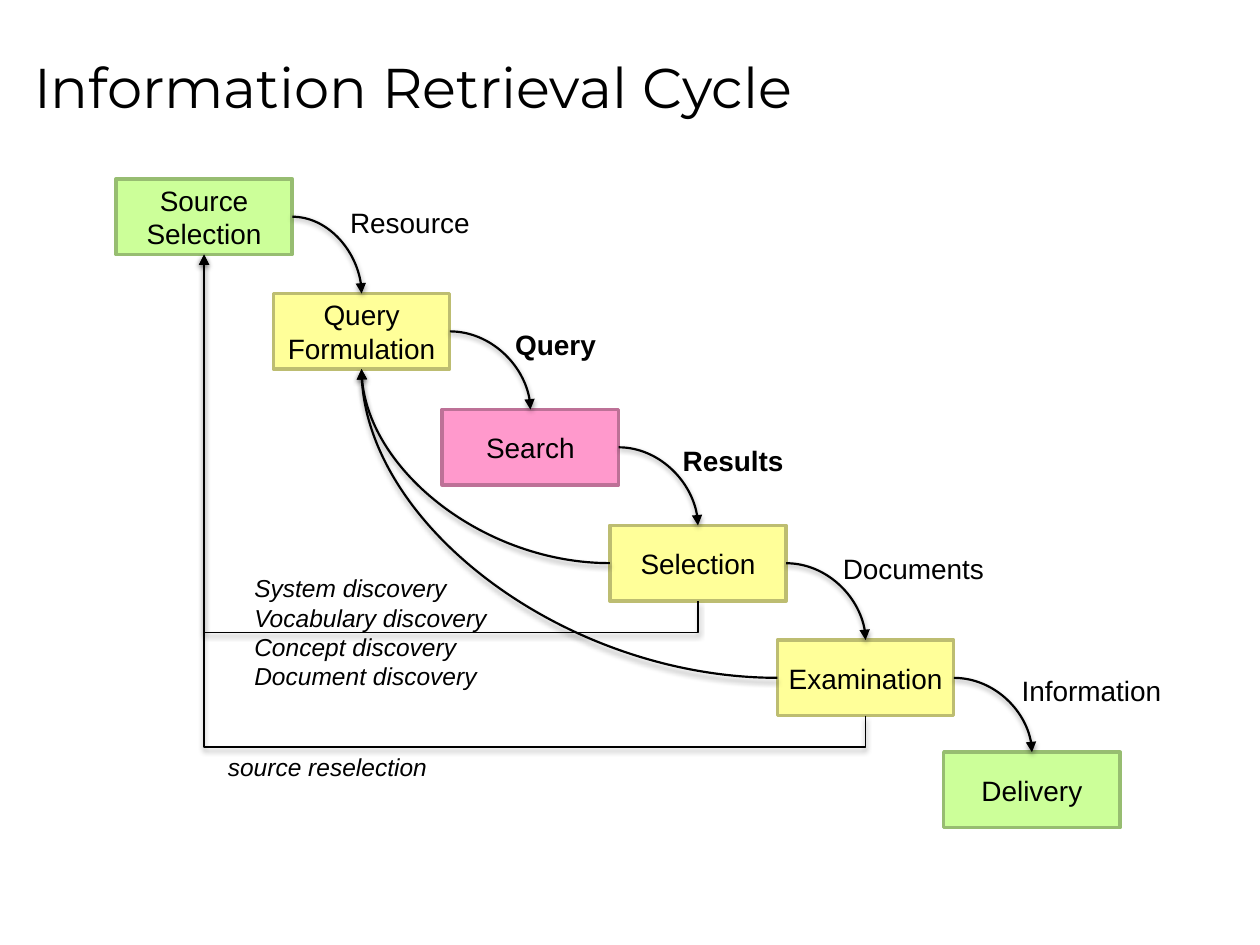
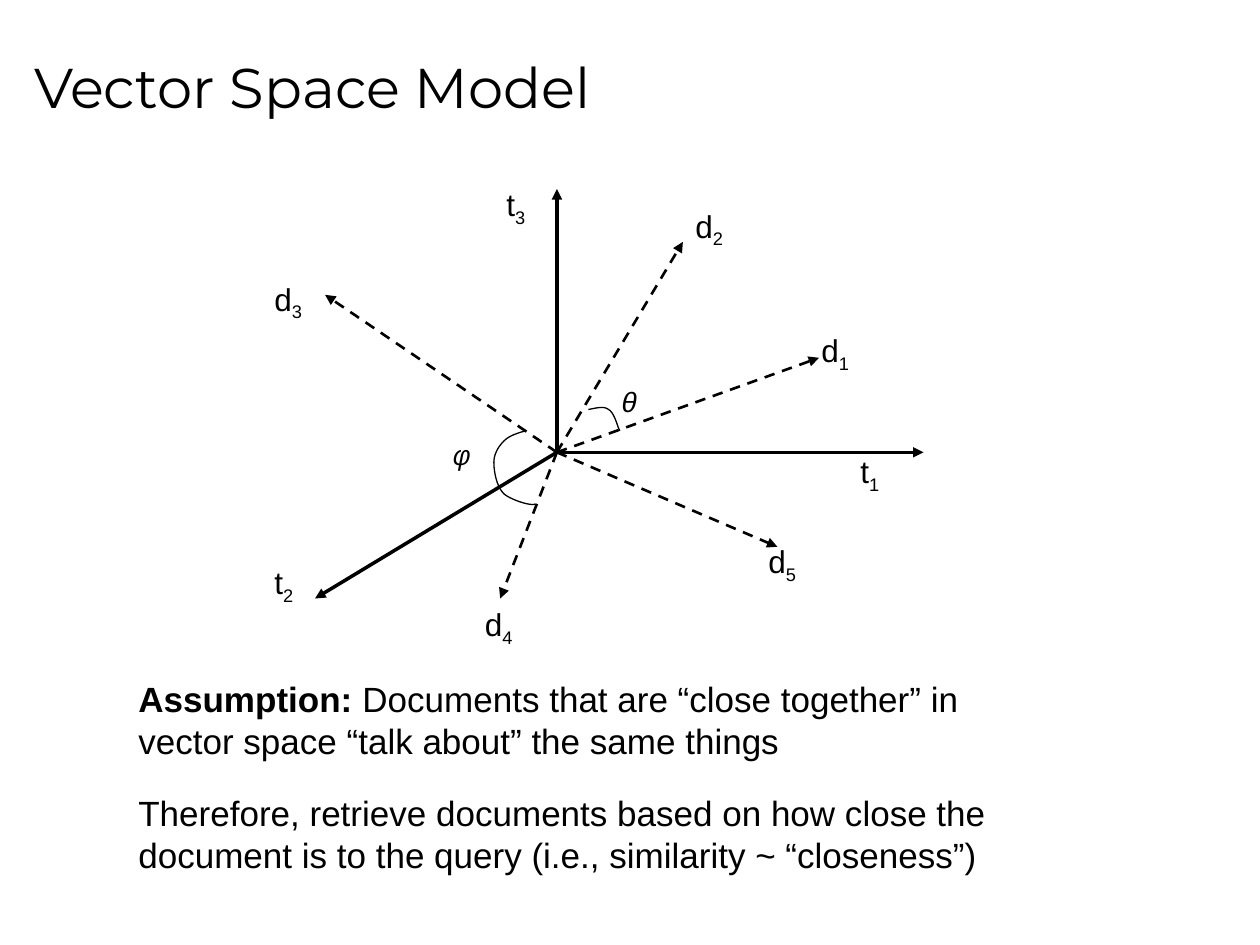
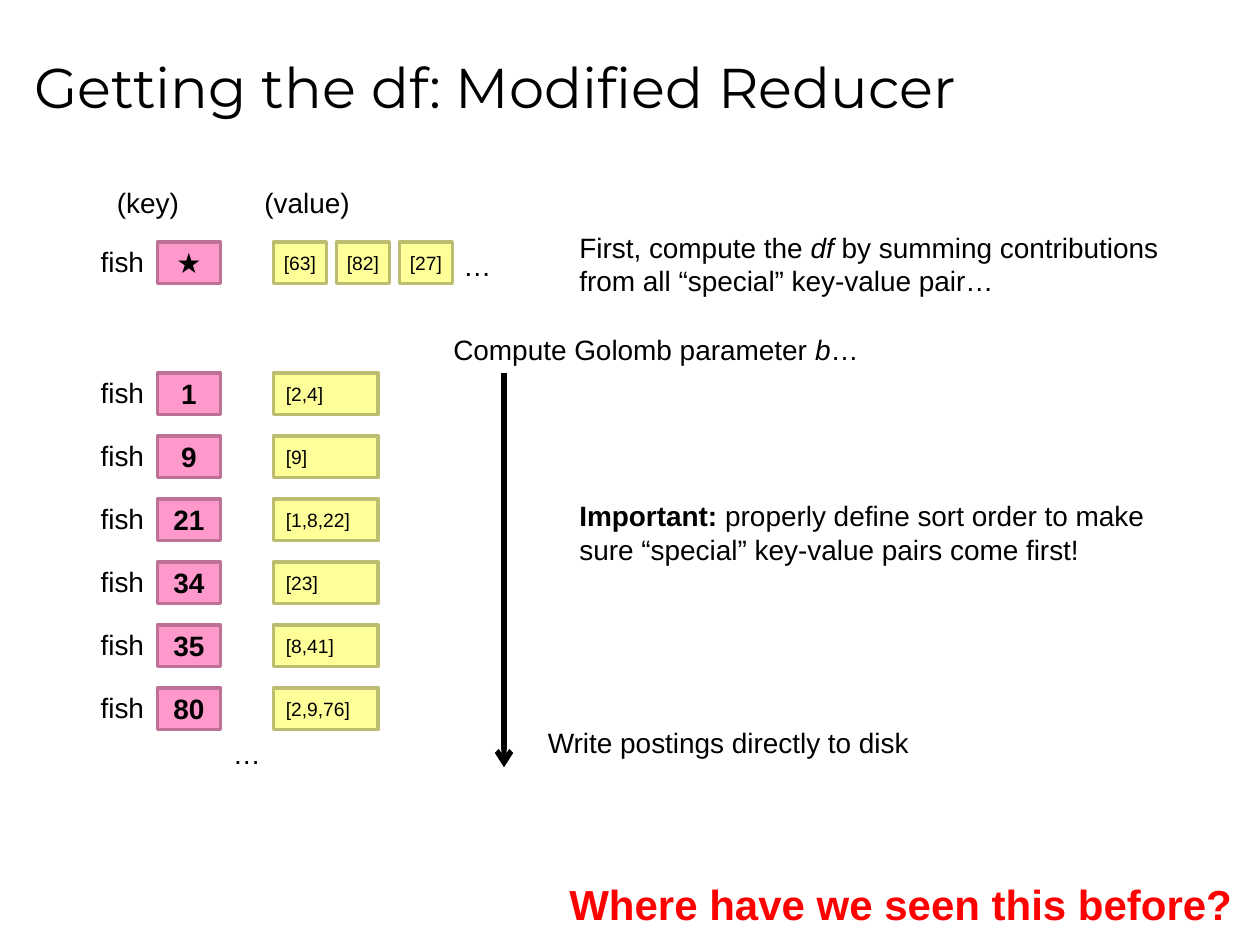
from dataclasses import dataclass, replace

from lxml import etree
from pptx import Presentation
from pptx.dml.color import RGBColor
from pptx.enum.dml import MSO_LINE
from pptx.enum.shapes import MSO_CONNECTOR, MSO_SHAPE
from pptx.enum.text import MSO_ANCHOR, MSO_AUTO_SIZE, PP_ALIGN
from pptx.oxml.ns import qn
from pptx.util import Inches, Pt

RECTANGLE = MSO_SHAPE.RECTANGLE
STRAIGHT, ELBOW, CURVE = MSO_CONNECTOR.STRAIGHT, MSO_CONNECTOR.ELBOW, MSO_CONNECTOR.CURVE
DASH = MSO_LINE.DASH
LEFT, CENTER = PP_ALIGN.LEFT, PP_ALIGN.CENTER
MIDDLE = MSO_ANCHOR.MIDDLE
FIT_SHAPE, NO_FIT = MSO_AUTO_SIZE.SHAPE_TO_FIT_TEXT, MSO_AUTO_SIZE.NONE
TOP_SIDE, LEFT_SIDE, BOTTOM_SIDE, RIGHT_SIDE = range(4)
TITLE_ONLY = 5

BLACK, RED = "000000", "FF0000"
GREEN = ("CCFF99", "97BD71")
YELLOW = ("FFFF99", "BDBD71")
PINK = ("FF99CC", "BD7197")


@dataclass(frozen=True)
class Style:
    size: float = 16
    font: str = "Arial"
    color: str = BLACK
    bold: bool = False
    italic: bool = False


@dataclass(frozen=True)
class Run:
    text: str
    bold: bool = False
    italic: bool = False
    subscript: bool = False


@dataclass(frozen=True)
class Label:
    """A text box; content is plain text or a list of runs."""
    content: str | list[Run]
    left: float
    top: float
    width: float
    height: float = 0.37
    style: Style = Style()
    wrap: bool = False


@dataclass(frozen=True)
class Box:
    text: str
    left: float
    top: float
    width: float
    height: float
    colors: tuple[str, str]
    style: Style = Style()
    align: PP_ALIGN = CENTER
    wrap: bool = True
    side_margin: float = 0.1


BODY = Style()
BOLD = Style(bold=True)
NOTE = Style(14, italic=True)
SMALL = Style(11)
TERM = Style(18)
ANGLE = Style(16, "Courier New", italic=True)
STATEMENT = Style(20)
TITLE = Style(32, "Montserrat")


def rgb(color: str) -> RGBColor:
    return RGBColor.from_string(color)


def format_run(run, style: Style) -> None:
    font = run.font
    font.size, font.name = Pt(style.size), style.font
    font.bold, font.italic = style.bold, style.italic
    font.color.rgb = rgb(style.color)


def write_text(text_frame, content: str | list[Run], style: Style, align=LEFT) -> None:
    if isinstance(content, str):
        text_frame.text = content
        for paragraph in text_frame.paragraphs:
            for run in paragraph.runs:
                format_run(run, style)
    else:
        for part in content:
            run = text_frame.paragraphs[0].add_run()
            run.text = part.text
            format_run(run, replace(style, bold=part.bold, italic=part.italic))
            if part.subscript:
                run.font._element.set("baseline", "-25000")
    for paragraph in text_frame.paragraphs:
        paragraph.alignment = align


def place(left: float, top: float, width: float, height: float) -> list[int]:
    return [Inches(value) for value in (left, top, width, height)]


def add_titled_slide(presentation, text: str):
    slide = presentation.slides.add_slide(presentation.slide_layouts[TITLE_ONLY])
    title = slide.shapes.title
    title.left, title.top, title.width, title.height = place(0.17, 0.12, 9.5, 1.12)
    write_text(title.text_frame, text, TITLE)
    title.text_frame.vertical_anchor = MIDDLE
    title.text_frame.auto_size = NO_FIT
    return slide


def add_label(slide, label: Label) -> None:
    shape = slide.shapes.add_textbox(*place(label.left, label.top, label.width, label.height))
    write_text(shape.text_frame, label.content, label.style)
    shape.text_frame.word_wrap = label.wrap
    shape.text_frame.auto_size = FIT_SHAPE


def add_box(slide, box: Box):
    shape = slide.shapes.add_shape(RECTANGLE, *place(box.left, box.top, box.width, box.height))
    fill, border = box.colors
    shape.shadow.inherit = False
    shape.fill.solid()
    shape.fill.fore_color.rgb = rgb(fill)
    shape.line.color.rgb = rgb(border)
    shape.line.width = Pt(2)
    text_frame = shape.text_frame
    write_text(text_frame, box.text, box.style, box.align)
    text_frame.word_wrap = box.wrap
    text_frame.vertical_anchor = MIDDLE
    text_frame.margin_left = text_frame.margin_right = Inches(box.side_margin)
    return shape


def style_arrow(connector, width: float, head: str = "triangle", shadow: bool = False) -> None:
    connector.line.color.rgb = rgb(BLACK)
    connector.line.width = Pt(width)
    properties = connector.element.spPr
    etree.SubElement(properties.find(qn("a:ln")), qn("a:tailEnd"), type=head)
    effects = etree.SubElement(properties, qn("a:effectLst"))
    if shadow:
        outer = etree.SubElement(effects, qn("a:outerShdw"), blurRad=str(Pt(3.1)),
                                 dist=str(Pt(1.6)), dir="5400000", rotWithShape="0")
        color = etree.SubElement(outer, qn("a:srgbClr"), val=BLACK)
        etree.SubElement(color, qn("a:alpha"), val="38000")


def add_arrow(slide, start: tuple[float, float], end: tuple[float, float], width: float,
              head: str = "triangle", dashed: bool = False) -> None:
    points = [Inches(value) for value in (*start, *end)]
    connector = slide.shapes.add_connector(STRAIGHT, *points)
    if dashed:
        connector.line.dash_style = DASH
    style_arrow(connector, width, head)


def join(slide, kind, source, source_side: int, target, target_side: int):
    connector = slide.shapes.add_connector(kind, 0, 0, 0, 0)
    connector.begin_connect(source, source_side)
    connector.end_connect(target, target_side)
    return connector


def add_curve(slide, source, source_side: int, target, target_side: int) -> None:
    """Join two boxes by a quarter curve."""
    joined = join(slide, CURVE, source, source_side, target, target_side)
    joined.element.spPr.find(qn("a:prstGeom")).set("prst", "curvedConnector2")
    style_arrow(joined, 1.25, shadow=True)


def add_return_path(slide, source, target) -> None:
    """Run below the source, left, and up to the bottom of the target."""
    connector = join(slide, ELBOW, source, BOTTOM_SIDE, target, BOTTOM_SIDE)
    start_x, start_y = connector.begin_x, connector.begin_y
    end_x, end_y = connector.end_x, connector.end_y
    rise, run = start_y - end_y, start_x - end_x
    transform = connector.element.spPr.find(qn("a:xfrm"))
    transform.attrib.pop("flipV", None)
    transform.set("rot", "5400000")
    transform.set("flipH", "1")
    connector.left = (start_x + end_x - rise) // 2
    connector.top = (start_y + end_y - run) // 2
    connector.width, connector.height = rise, run
    geometry = connector.element.spPr.find(qn("a:prstGeom"))
    adjustments = geometry.find(qn("a:avLst"))
    if adjustments is None:
        adjustments = etree.SubElement(geometry, qn("a:avLst"))
    drop = round(-100000 * Inches(0.25) / rise)
    etree.SubElement(adjustments, qn("a:gd"), name="adj1", fmla=f"val {drop}")
    style_arrow(connector, 1, shadow=True)


def add_arc(slide, points: list[tuple[float, float]], steps: int = 10) -> None:
    """Draw chained cubic curves: a start, then two controls and an end for each."""
    vertices = []
    for first in range(0, len(points) - 1, 3):
        section = points[first:first + 4]
        for step in range(1, steps + 1):
            t = step / steps
            weights = ((1 - t) ** 3, 3 * t * (1 - t) ** 2, 3 * t * t * (1 - t), t ** 3)
            vertices.append(tuple(
                Inches(sum(weight * point[axis] for weight, point in zip(weights, section)))
                for axis in (0, 1)))
    builder = slide.shapes.build_freeform(Inches(points[0][0]), Inches(points[0][1]))
    builder.add_line_segments(vertices, close=False)
    arc = builder.convert_to_shape()
    arc.shadow.inherit = False
    arc.fill.background()
    arc.line.color.rgb = rgb(BLACK)
    arc.line.width = Pt(0.75)


def build_retrieval_cycle(presentation) -> None:
    slide = add_titled_slide(presentation, "Information Retrieval Cycle")
    stages = [
        ("Source\nSelection", 0.92, 1.42, GREEN),
        ("Query\nFormulation", 2.17, 2.33, YELLOW),
        ("Search", 3.51, 3.25, PINK),
        ("Selection", 4.84, 4.17, YELLOW),
        ("Examination", 6.17, 5.08, YELLOW),
        ("Delivery", 7.49, 5.97, GREEN),
    ]
    boxes = [add_box(slide, Box(text, left, top, 1.4, 0.6, colors, wrap=False))
             for text, left, top, colors in stages]
    for source, target in zip(boxes, boxes[1:]):
        add_curve(slide, source, RIGHT_SIDE, target, TOP_SIDE)

    source_selection, formulation, _, selection, examination, _ = boxes
    for stage in (examination, selection):
        add_return_path(slide, stage, source_selection)
        add_curve(slide, stage, LEFT_SIDE, formulation, BOTTOM_SIDE)

    discoveries = "\n".join(f"{item} discovery"
                            for item in ("System", "Vocabulary", "Concept", "Document"))
    for label in (
        Label("Resource", 2.68, 1.58, 1.15),
        Label("Query", 3.99, 2.55, 0.85, style=BOLD, wrap=True),
        Label("Results", 5.32, 3.47, 1.01, style=BOLD),
        Label("Documents", 6.59, 4.33, 1.32),
        Label("Information", 8.01, 5.3, 1.33),
        Label("source reselection", 1.71, 5.92, 2.3, 0.33, NOTE, wrap=True),
        Label(discoveries, 1.92, 4.5, 2.06, 1.04, NOTE),
    ):
        add_label(slide, label)


def build_vector_space(presentation) -> None:
    slide = add_titled_slide(presentation, "Vector Space Model")
    origin = (4.42, 3.59)
    for axis_end in ((7.33, 3.59), (4.42, 1.5), (2.5, 4.75)):
        add_arrow(slide, origin, axis_end, 2)
    for document_end in ((6.5, 2.84), (6.17, 4.34), (5.42, 1.92), (3.97, 4.75), (2.58, 2.34)):
        add_arrow(slide, origin, document_end, 1.5, dashed=True)

    for letter, index, left, top in (
        ("t", 1, 6.73, 3.54), ("t", 2, 2.08, 4.42), ("t", 3, 3.92, 1.42),
        ("d", 1, 6.42, 2.58), ("d", 2, 5.42, 1.59), ("d", 3, 2.08, 2.17),
        ("d", 4, 3.75, 4.75), ("d", 5, 6, 4.25),
    ):
        width = 0.36 if letter == "t" else 0.43
        runs = [Run(letter), Run(str(index), subscript=True)]
        add_label(slide, Label(runs, left, top, width, 0.4, TERM))

    add_arc(slide, [(4.67, 3.25), (4.73, 3.24), (4.79, 3.22), (4.83, 3.25),
                    (4.88, 3.28), (4.9, 3.39), (4.92, 3.42)])
    add_arc(slide, [(4.17, 3.42), (4.1, 3.44), (4.04, 3.46), (4, 3.5),
                    (3.96, 3.54), (3.92, 3.6), (3.92, 3.67),
                    (3.92, 3.74), (3.94, 3.86), (4, 3.92),
                    (4.06, 3.97), (4.22, 4.02), (4.25, 4)])
    add_label(slide, Label("θ", 4.83, 3, 0.3, style=ANGLE, wrap=True))
    add_label(slide, Label("φ", 3.5, 3.42, 0.3, style=ANGLE, wrap=True))

    assumption = [
        Run("Assumption: ", bold=True),
        Run("Documents that are “close together” in vector space “talk about” the same things"),
    ]
    conclusion = ("Therefore, retrieve documents based on how close the document is "
                  "to the query (i.e., similarity ~ “closeness”)")
    for content, top in ((assumption, 5.33), (conclusion, 6.23)):
        add_label(slide, Label(content, 1, top, 7.5, 0.77, STATEMENT, wrap=True))


def add_key(slide, key: str, top: float) -> None:
    add_label(slide, Label("fish", 0.7, top - 0.03, 0.55))
    add_box(slide, Box(key, 1.25, top, 0.5, 0.33, PINK, BOLD))


def build_modified_reducer(presentation) -> None:
    slide = add_titled_slide(presentation, "Getting the df: Modified Reducer")
    special_top, first_top, row_step = 1.92, 2.96, 0.5
    add_key(slide, "★", special_top)
    for column, count in enumerate(("[63]", "[82]", "[27]")):
        add_box(slide, Box(count, 2.17 + column * 0.5, special_top, 0.42, 0.33, YELLOW, SMALL,
                           side_margin=0))

    postings = [("1", "[2,4]"), ("9", "[9]"), ("21", "[1,8,22]"),
                ("34", "[23]"), ("35", "[8,41]"), ("80", "[2,9,76]")]
    for row, (key, positions) in enumerate(postings):
        top = first_top + row * row_step
        add_key(slide, key, top)
        add_box(slide, Box(positions, 2.17, top, 0.83, 0.33, YELLOW, SMALL, LEFT))

    add_arrow(slide, (4, first_top), (4, 6.09), 3, head="arrow")

    compute_df = [
        Run("First, compute the "), Run("df", italic=True),
        Run(" by summing contributions from all “special” key-value pair…"),
    ]
    compute_golomb = [Run("Compute Golomb parameter "), Run("b", italic=True), Run("…")]
    sort_order = [
        Run("Important: ", bold=True),
        Run("properly define sort order to make sure “special” key-value pairs come first!"),
    ]
    for label in (
        Label("(key)", 0.83, 1.42, 0.7),
        Label("(value)", 2, 1.42, 0.89),
        Label("…", 3.58, 1.92, 0.43),
        Label("…", 1.75, 5.8, 0.43),
        Label(compute_df, 4.5, 1.78, 5, 0.64, wrap=True),
        Label(compute_golomb, 3.5, 2.59, 3.83, wrap=True),
        Label(sort_order, 4.5, 3.91, 4.83, 0.64, wrap=True),
        Label("Write postings directly to disk", 4.25, 5.71, 3.42, wrap=True),
        Label("Where have we seen this before?", 4.42, 6.92, 5.51, 0.5,
              Style(24, color=RED, bold=True)),
    ):
        add_label(slide, label)


def main() -> None:
    presentation = Presentation()
    presentation.slide_width, presentation.slide_height = Inches(10), Inches(7.5)
    build_retrieval_cycle(presentation)
    build_vector_space(presentation)
    build_modified_reducer(presentation)
    presentation.save("out.pptx")


if __name__ == "__main__":
    main()
